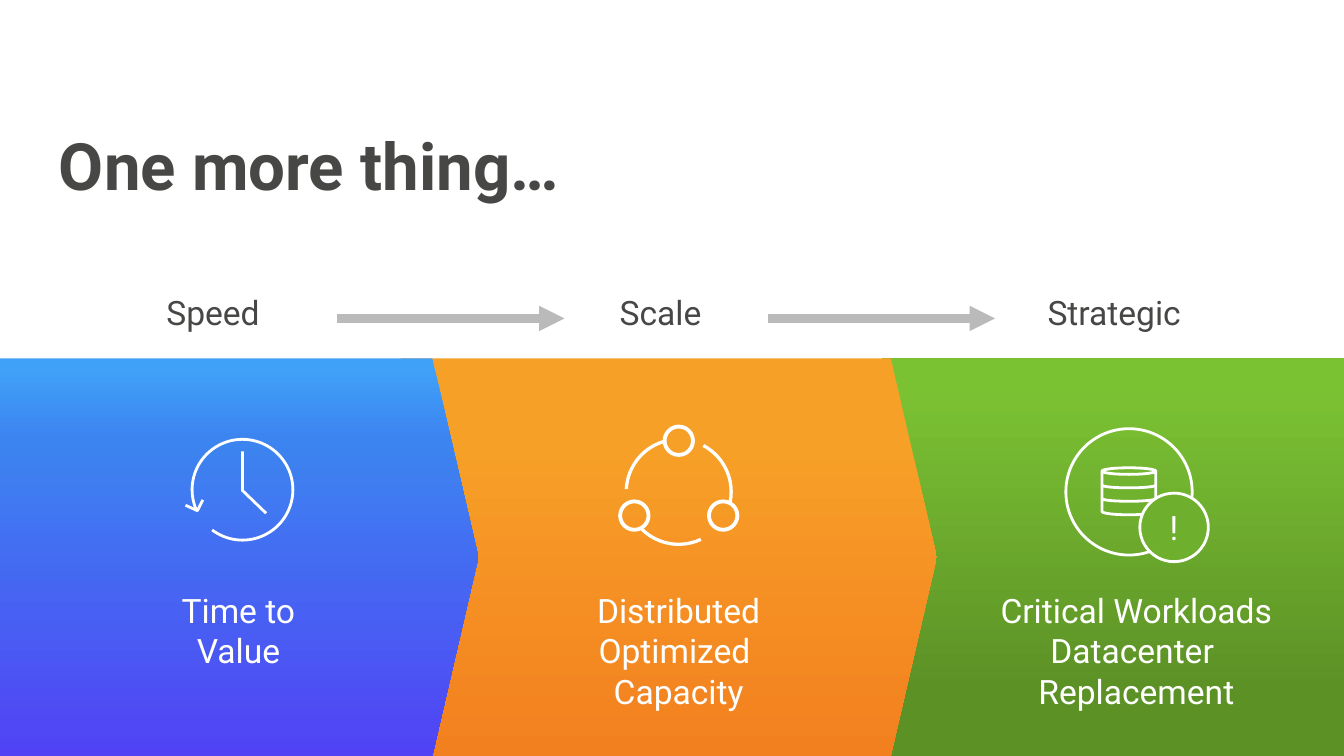
import pptx
import pptx.dml.color
import pptx.enum.shapes
import pptx.enum.text
import pptx.oxml.ns
import pptx.util
import lxml.etree

Pt = pptx.util.Pt
RGB = pptx.dml.color.RGBColor
SHAPE = pptx.enum.shapes.MSO_SHAPE
ALIGN = pptx.enum.text.PP_ALIGN
qn = pptx.oxml.ns.qn

WHITE = RGB(0xFF, 0xFF, 0xFF)
DARK = RGB(0x47, 0x47, 0x46)
GREY = RGB(0xBA, 0xBA, 0xBA)
BADGE = RGB(0x6F, 0xAF, 0x2E)
BLUES = [(2, RGB(0x40, 0xA1, 0xF8)), (20, RGB(0x3C, 0x85, 0xF0)), (100, RGB(0x51, 0x43, 0xF5))]
ORANGES = [(20, RGB(0xF7, 0xA0, 0x28)), (100, RGB(0xF3, 0x80, 0x1F))]
GREENS = [(7, RGB(0x7B, 0xC2, 0x33)), (84, RGB(0x5C, 0x91, 0x26))]

BODY = {"name": "Roboto", "size": Pt(18), "bold": False}
HEADING = {"name": "Roboto", "size": Pt(35), "bold": True}

prs = pptx.Presentation()
prs.slide_width, prs.slide_height = Pt(720), Pt(405)
slide = prs.slides.add_slide(prs.slide_layouts[6])
shapes = slide.shapes


def write(s, text, color, fmt, align, spacing=1.0):
    tf = s.text_frame
    tf.word_wrap = True
    p = tf.paragraphs[0]
    p.text = text
    p.alignment = align
    p.line_spacing = spacing
    for r in p.runs:
        for key, value in fmt.items():
            setattr(r.font, key, value)
        r.font.color.rgb = color
    return tf


def outline(s, width=1.5):
    s.shadow.inherit = False
    s.fill.background()
    s.line.color.rgb = WHITE
    s.line.width = Pt(width)


title = shapes.add_textbox(Pt(24.5), Pt(23.8), Pt(677), Pt(117))
tf = write(title, "One more thing…", DARK, HEADING, ALIGN.LEFT, 0.9)
tf.margin_top = Pt(48)

for text, left, width in [("Speed", 2.9, 222.5), ("Scale", 235.4, 236.9), ("Strategic", 473.8, 246.2)]:
    s = shapes.add_textbox(Pt(left), Pt(155.5), Pt(width), Pt(36.7))
    write(s, text, DARK, BODY, ALIGN.CENTER, 0.9)

for start, end in [(180.7, 302.4), (411.6, 533)]:
    s = shapes.add_connector(pptx.enum.shapes.MSO_CONNECTOR.STRAIGHT, Pt(start), Pt(170.6), Pt(end), Pt(170.6))
    s.line.color.rgb = GREY
    s.line.width = Pt(4.5)
    lxml.etree.SubElement(s.line._get_or_add_ln(), qn("a:tailEnd"), type="triangle")
    lxml.etree.SubElement(s._element.spPr, qn("a:effectLst"))

for kind, left, width, stops in [
    (SHAPE.RECTANGLE, 472.3, 247.7, GREENS),
    (SHAPE.PENTAGON, 214.6, 287.3, ORANGES),
    (SHAPE.PENTAGON, 0, 256.3, BLUES),
]:
    s = shapes.add_shape(kind, Pt(left), Pt(192), Pt(width), Pt(213))
    s.shadow.inherit = False
    s.line.fill.background()
    if kind == SHAPE.PENTAGON:
        s.adjustments[0] = 0.116
    s.fill.gradient()
    s.fill.gradient_angle = 270
    gradient = s._element.spPr.find(".//" + qn("a:gsLst"))
    for stop in list(gradient):
        gradient.remove(stop)
    for percent, color in stops:
        stop = lxml.etree.SubElement(gradient, qn("a:gs"), pos=str(percent * 1000))
        lxml.etree.SubElement(stop, qn("a:srgbClr"), val=str(color))

CLOCK = (102.9, 235.4, 54, 54)
NETWORK = (335.5, 235.4, 56.2, 56.2)
for box, start, end, width in [
    (CLOCK, 156, 127, 1.5),
    (NETWORK, 65, 136, 1.75),
    (NETWORK, 298, 12, 1.75),
    (NETWORK, 183, 254, 1.75),
    ((590.4, 258.5, 28.8, 2.9), 0, 180, 1.5),
    ((590.4, 265.7, 28.8, 2.9), 0, 180, 1.5),
]:
    s = shapes.add_shape(SHAPE.ARC, *map(Pt, box))
    s.adjustments[0] = start * 0.6
    s.adjustments[1] = end * 0.6
    outline(s, width)

for points in [
    [(129.9, 241.9), (129.9, 262.8), (142.6, 275)],
    [(108.7, 267.8), (105.8, 273.6), (99.4, 270.7)],
]:
    points = [(Pt(x), Pt(y)) for x, y in points]
    builder = shapes.build_freeform(*points[0])
    builder.add_line_segments(points[1:], close=False)
    outline(builder.convert_to_shape())

for left, top in [(331.2, 267.6), (355, 227.5), (378.8, 267.6)]:
    s = shapes.add_shape(SHAPE.DONUT, Pt(left), Pt(top), Pt(17.3), Pt(17.3))
    s.shadow.inherit = False
    s.adjustments[0] = 0.12
    s.fill.solid()
    s.fill.fore_color.rgb = WHITE
    s.line.fill.background()

database = shapes.add_shape(SHAPE.CAN, Pt(590.4), Pt(250.6), Pt(28.8), Pt(25.2))
database.adjustments[0] = 0.14
outline(database)
outline(shapes.add_shape(SHAPE.OVAL, Pt(571), Pt(229.7), Pt(67.7), Pt(67.7)))

badge = shapes.add_shape(SHAPE.OVAL, Pt(610.6), Pt(264.2), Pt(36.7), Pt(36.7))
outline(badge)
badge.fill.solid()
badge.fill.fore_color.rgb = BADGE
tf = write(badge, "!", WHITE, BODY, ALIGN.CENTER)
tf.vertical_anchor = pptx.enum.text.MSO_ANCHOR.MIDDLE
for side in ("left", "top", "right", "bottom"):
    setattr(tf, "margin_" + side, 0)

for text, center, width, height in [
    ("Time to Value", 127.8, 116, 66),
    ("Distributed Optimized \vCapacity", 363.6, 177, 81),
    ("Critical Workloads Datacenter \vReplacement", 608.8, 211, 81),
]:
    s = shapes.add_textbox(Pt(center - width / 2), Pt(312.5), Pt(width), Pt(height))
    write(s, text, WHITE, BODY, ALIGN.CENTER)

prs.save("out.pptx")
